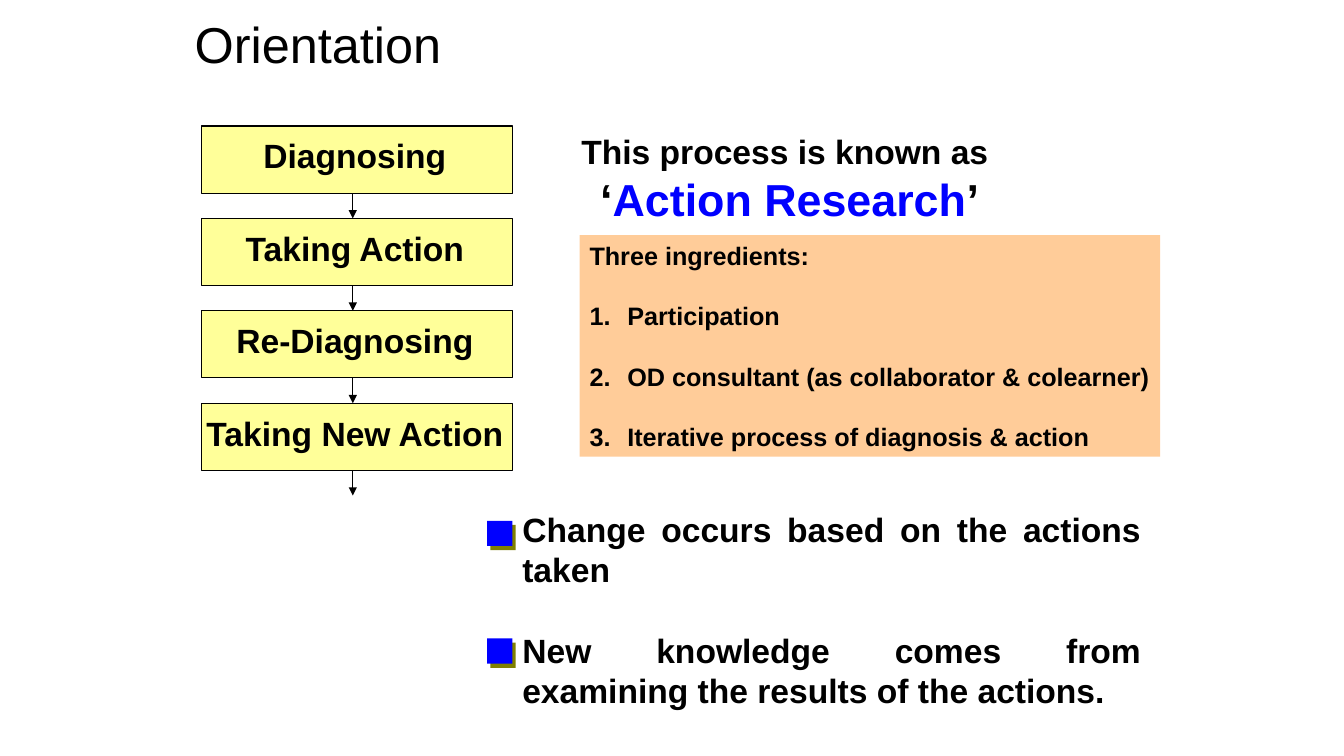
"""Build the Orientation slide on action research."""
from lxml.etree import SubElement
from pptx import Presentation
from pptx.dml.color import RGBColor
from pptx.enum.shapes import MSO_CONNECTOR as Connector, MSO_SHAPE as Shape
from pptx.enum.text import MSO_ANCHOR as Anchor, PP_ALIGN as Align
from pptx.oxml.ns import qn
from pptx.util import Pt

PX = 9525
BLACK, BLUE, OLIVE = "000000", "0000FF", "808000"
YELLOW, PEACH = "FFFF99", "FFCC99"
STEPS = ["Diagnosing", "Taking Action", "Re-Diagnosing", "Taking New Action"]
INGREDIENTS = [
    "Participation",
    "OD consultant (as collaborator & colearner)",
    "Iterative process of diagnosis & action",
]
CONCLUSIONS = [
    "Change occurs based on the actions taken",
    "New knowledge comes from examining the results of the actions.",
]


def px(*lengths):
    """Turn pixel lengths into EMU."""
    return [length * PX for length in lengths]


def rgb(hex_code):
    """Turn a hex string into a colour."""
    return RGBColor.from_string(hex_code)


def assign(target, values):
    """Set every attribute named in a dict."""
    for name, value in values.items():
        setattr(target, name, value)


def add_rect(shapes, box, fill, outline=None):
    """Add a flat rectangle, outlined if a line colour is given."""
    rect = shapes.add_shape(Shape.RECTANGLE, *px(*box))
    rect.shadow.inherit = False
    rect.fill.solid()
    rect.fill.fore_color.rgb = rgb(fill)
    if outline:
        rect.line.color.rgb = rgb(outline)
        rect.line.width = Pt(0.75)
    else:
        rect.line.fill.background()
    return rect


def add_textbox(shapes, box, **frame_format):
    """Add a text box and return its frame."""
    frame = shapes.add_textbox(*px(*box)).text_frame
    assign(frame, {"word_wrap": True, **frame_format})
    return frame


def write(paragraph, runs, size, bold=True, **paragraph_format):
    """Fill a paragraph with runs of text and colour."""
    assign(paragraph, {"line_spacing": Pt(size * 1.2), **paragraph_format})
    for text, colour in runs:
        run = paragraph.add_run()
        run.text = text
        assign(run.font, {"name": "Arial", "size": Pt(size), "bold": bold})
        run.font.color.rgb = rgb(colour)


def add_arrow(shapes, x, top, bottom):
    """Add a thin downward arrow."""
    arrow = shapes.add_connector(Connector.STRAIGHT, *px(x, top, x, bottom))
    arrow.line.color.rgb = rgb(BLACK)
    arrow.line.width = Pt(0.75)
    SubElement(arrow.line._get_or_add_ln(), qn("a:tailEnd"), type="triangle")
    SubElement(arrow._element.spPr, qn("a:effectLst"))


def add_step(shapes, label, top):
    """Add one step of the process with the arrow below it."""
    height, gap = 64, 24
    frame = add_rect(shapes, (192, top, 296, height), YELLOW, BLACK).text_frame
    insets = dict(zip(("margin_left", "margin_top", "margin_right", "margin_bottom"),
                      px(0, 0, 4, 8)))
    assign(frame, {"word_wrap": False, "vertical_anchor": Anchor.MIDDLE, **insets})
    write(frame.paragraphs[0], [(label, BLACK)], 24, alignment=Align.CENTER)
    add_arrow(shapes, 336, top + height, top + height + gap)


def add_ingredients(shapes):
    """Add the panel with its numbered ingredients."""
    frame = add_rect(shapes, (552, 224, 553, 211), PEACH).text_frame
    assign(frame, {"word_wrap": True, "vertical_anchor": Anchor.TOP, "margin_right": 0})
    write(frame.paragraphs[0], [("Three ingredients:", BLACK)], 18, alignment=Align.LEFT)
    for ingredient in INGREDIENTS:
        item = frame.add_paragraph()
        indent = 36 * PX
        properties = item._p.get_or_add_pPr()
        assign_indent = {"marL": indent, "indent": -indent}
        for name, value in assign_indent.items():
            properties.set(name, str(value))
        SubElement(properties, qn("a:buFont"), typeface="+mj-lt")
        SubElement(properties, qn("a:buAutoNum"), type="arabicPeriod")
        write(item, [(ingredient, BLACK)], 18, alignment=Align.LEFT, space_before=Pt(21.6))


def add_marker(shapes, left, top):
    """Add a blue square over its olive shade."""
    marker = shapes.add_group_shape().shapes
    add_rect(marker, (left + 3, top + 4, 24, 24), OLIVE)
    add_rect(marker, (left, top, 24, 24), BLUE)


def add_conclusions(shapes):
    """Add the closing statements with their square markers."""
    frame = add_textbox(shapes, (488, 480, 608, 204))
    for index, conclusion in enumerate(CONCLUSIONS):
        paragraph = frame.add_paragraph() if index else frame.paragraphs[0]
        write(paragraph, [(conclusion, BLACK)], 24, alignment=Align.JUSTIFY,
              space_before=Pt(28.8 * index))
        add_marker(shapes, 464, 496 + 112 * index)


def main():
    """Build and save the slide."""
    deck = Presentation()
    deck.slide_width, deck.slide_height = px(1280, 720)
    shapes = deck.slides.add_slide(deck.slide_layouts[6]).shapes

    title = add_textbox(shapes, (176, 8, 254, 67), margin_right=0)
    write(title.paragraphs[0], [("Orientation", BLACK)], 36, bold=False)

    for index, step in enumerate(STEPS):
        add_step(shapes, step, 120 + 88 * index)

    intro = add_textbox(shapes, (542, 120, 420, 100), word_wrap=False)
    write(intro.paragraphs[0], [("This process is known as ", BLACK)], 24,
          alignment=Align.CENTER)
    write(intro.add_paragraph(),
          [("‘", BLACK), ("Action Research", BLUE), ("’", BLACK)], 32,
          alignment=Align.CENTER)

    add_ingredients(shapes)
    add_conclusions(shapes)
    deck.save("out.pptx")


if __name__ == "__main__":
    main()
